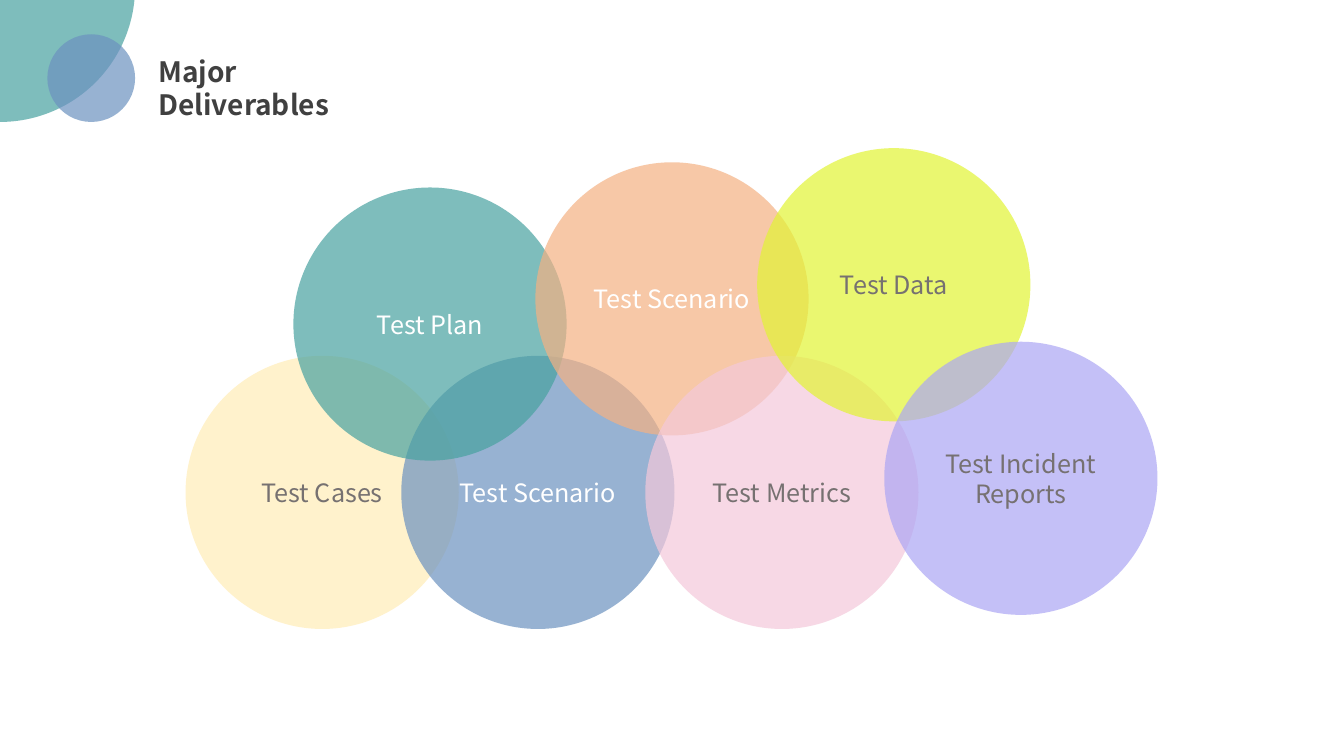
from lxml import etree
from pptx import Presentation
from pptx.dml.color import RGBColor
from pptx.enum import shapes, text
from pptx.oxml.ns import qn
from pptx.util import Inches, Pt

FONT = "Noto Sans CJK SC"
WHITE = RGBColor(0xFF, 0xFF, 0xFF)
GREY = RGBColor(0x76, 0x71, 0x71)
DARK = RGBColor(0x40, 0x40, 0x40)
YELLOW = RGBColor(0xFF, 0xD9, 0x66)
BLUE = RGBColor(0x6C, 0x92, 0xC0)
TEAL = RGBColor(0x48, 0xA2, 0xA0)
ORANGE = RGBColor(0xF4, 0xB1, 0x83)
PINK = RGBColor(0xF4, 0xC8, 0xDA)
LIME = RGBColor(0xE2, 0xF4, 0x34)
LILAC = RGBColor(0xAC, 0xA6, 0xF4)

SIZE = 2.71
LOW = 1.67 + 0.39
BACK = [
    ("Test Cases", 0, LOW, YELLOW, GREY, 33),
    ("Test Scenario", 2.14, LOW, BLUE, WHITE, 70),
    ("Test Plan", 1.07, 0.39, TEAL, WHITE, 70),
]
FRONT = [
    ("Test Scenario", 3.47, 0.14, ORANGE, WHITE, 70),
    ("Test Metrics", 4.56, LOW, PINK, GREY, 70),
    ("Test Data", 5.67, 0, LIME, GREY, 70),
    ("Test Incident Reports", 6.93, 1.92, LILAC, GREY, 70),
]


def add_disc(slide, left, top, size, color, alpha=70):
    """Draw a see-through circle and return it."""
    disc = slide.shapes.add_shape(
        shapes.MSO_SHAPE.OVAL, Inches(left), Inches(top), Inches(size), Inches(size))
    disc.shadow.inherit = False
    disc.fill.solid()
    disc.fill.fore_color.rgb = color
    disc.line.fill.background()
    tint = disc.element.spPr.find(qn("a:solidFill"))[0]
    etree.SubElement(tint, qn("a:alpha"), val=str(alpha * 1000))
    return disc


def set_font(para, size, color, bold=False):
    """Style a whole paragraph."""
    font = para.font
    font.name, font.size, font.bold = FONT, Pt(size), bold
    font.color.rgb = color


def add_header(slide, left, top):
    """Draw the corner circles and the title from the given corner."""
    add_disc(slide, left - 1.34, top - 1.47, 2.68, TEAL)
    add_disc(slide, left + 0.47, top + 0.34, 0.87, BLUE)
    box = slide.shapes.add_textbox(
        Inches(left + 1.47), Inches(top + 0.49), Inches(2.58), Inches(0.77))
    frame = box.text_frame
    frame.word_wrap = True
    frame.auto_size = text.MSO_AUTO_SIZE.SHAPE_TO_FIT_TEXT
    para = frame.paragraphs[0]
    para.add_run().text = "Major"
    para.add_line_break()
    para.add_run().text = "Deliverables"
    set_font(para, 20, DARK, True)


def add_cluster(slide, left, top, items):
    """Draw labelled circles at offsets from the given corner."""
    for label, dx, dy, color, ink, alpha in items:
        disc = add_disc(slide, left + dx, top + dy, SIZE, color, alpha)
        frame = disc.text_frame
        frame.word_wrap = True
        frame.vertical_anchor = text.MSO_ANCHOR.MIDDLE
        para = frame.paragraphs[0]
        para.text = label
        para.alignment = text.PP_ALIGN.CENTER
        set_font(para, 18, ink)


def main():
    """Build and save the slide."""
    deck = Presentation()
    deck.slide_width, deck.slide_height = Inches(13.33), Inches(7.5)
    slide = deck.slides.add_slide(deck.slide_layouts[6])
    add_cluster(slide, 1.84, 1.47, BACK)
    add_header(slide, 0, 0)
    add_cluster(slide, 1.84, 1.47, FRONT)
    deck.save("out.pptx")


if __name__ == "__main__":
    main()
